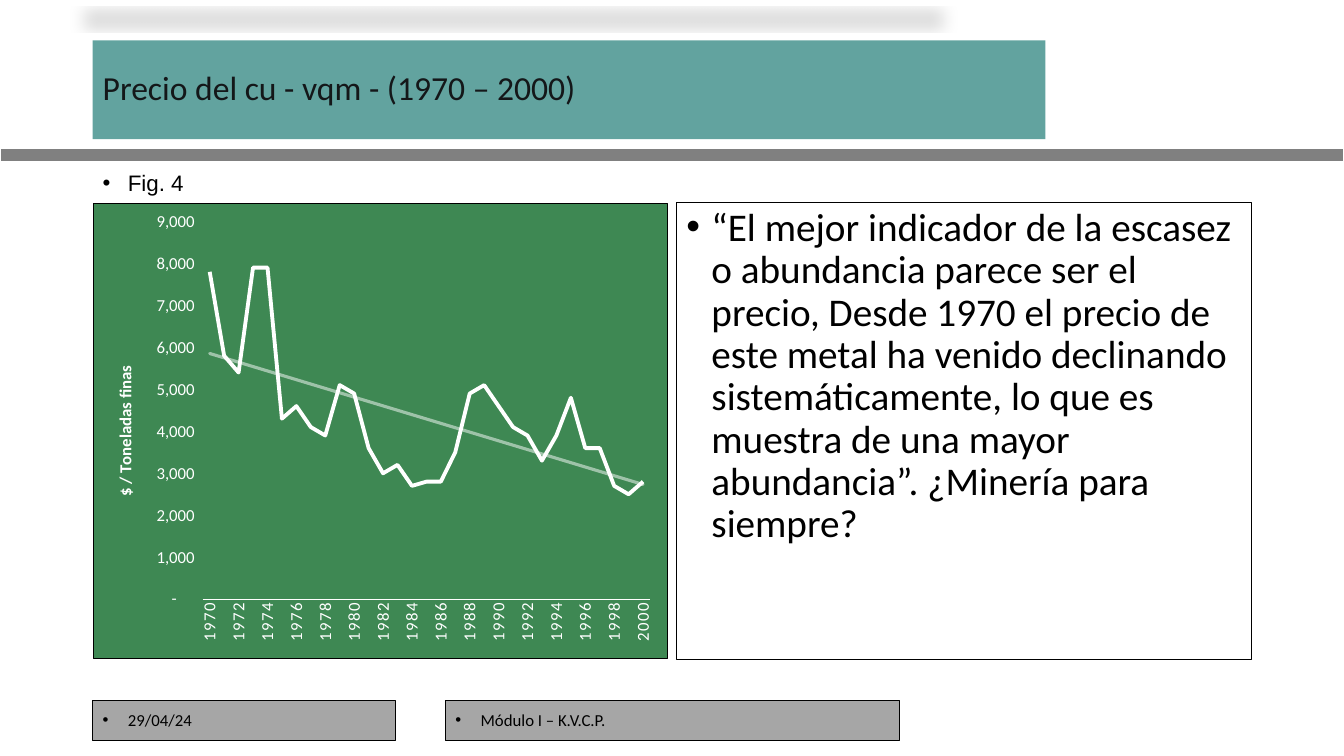
from pptx import Presentation
from pptx.chart.data import CategoryChartData
from pptx.dml.color import RGBColor
from pptx.enum.chart import XL_CHART_TYPE as ChartType, XL_TICK_MARK as TickMark
from pptx.enum.shapes import MSO_CONNECTOR as Connector, MSO_SHAPE as Shape
from pptx.enum.text import MSO_ANCHOR as Anchor, PP_ALIGN as Align
from pptx.oxml import parse_xml
from pptx.oxml.ns import nsdecls, qn
from pptx.util import Pt

COLORS = {
    "teal": "62A39F", "green": "3E8853", "rule": "808080", "footer": "A6A6A6",
    "title": "141719", "black": "000000", "white": "FFFFFF",
}
LEFT, PANEL_TOP, PANEL_W, PANEL_H = 66.24, 144.72, 411.12, 326.16
QUOTE = (
    "“El mejor indicador de la escasez o abundancia parece ser el precio, "
    "Desde 1970 el precio de este metal ha venido declinando sistemáticamente, "
    "lo que es muestra de una mayor abundancia”. ¿Minería para siempre?"
)
YEARS = [str(year) for year in range(1970, 2001)]
PRICES = [
    7800, 5800, 5400, 7900, 7900, 4300, 4600, 4100, 3900, 5100, 4900,
    3600, 3000, 3200, 2700, 2800, 2800, 3500, 4900, 5100, 4600,
    4100, 3900, 3300, 3900, 4800, 3600, 3600, 2700, 2500, 2800,
]
PRICE_FORMAT = '_-* #,##0_-;\\-* #,##0_-;_-* "-"??_-;_-@_'


def rgb(name):
    """Return the palette colour with this name."""
    return RGBColor.from_string(COLORS[name])


def xml(tag, body):
    """Build an element whose opening tag is completed with namespaces."""
    return parse_xml(f"<{tag} {nsdecls('a', 'c')}{body}")


def set_font(font, size, color, name="Calibri", bold=False):
    """Set the common properties of a font."""
    font.size, font.name, font.bold = Pt(size), name, bold
    font.color.rgb = rgb(color)


def add_text(sp, text, size=12, color="black", font="Calibri", anchor=Anchor.MIDDLE, bullet=True):
    """Write one paragraph into a shape."""
    tf = sp.text_frame
    tf.word_wrap = True
    tf.vertical_anchor = anchor
    p = tf.paragraphs[0]
    p.alignment, p.line_spacing = Align.LEFT, 0.9
    if bullet:
        p.space_before = Pt(10)
        pPr = p._p.get_or_add_pPr()
        pPr.set("marL", str(Pt(18)))
        pPr.set("indent", str(-Pt(18)))
        pPr.append(xml("a:buFont", ' typeface="Arial"/>'))
        pPr.append(xml("a:buChar", ' char="•"/>'))
    r = p.add_run()
    r.text = text
    set_font(r.font, size, color, font)


def add_box(s, x, y, w, h, fill=None, line=None):
    """Add a rectangle without shadow, with optional fill and outline width."""
    sp = s.shapes.add_shape(Shape.RECTANGLE, Pt(x), Pt(y), Pt(w), Pt(h))
    sp.shadow.inherit = False
    if fill:
        sp.fill.solid()
        sp.fill.fore_color.rgb = rgb(fill)
    else:
        sp.fill.background()
    if line:
        sp.line.color.rgb = rgb("black")
        sp.line.width = Pt(line)
    else:
        sp.line.fill.background()
    return sp


def add_flat_shadow(sp):
    """Cast a flattened soft shadow above a shape."""
    effects = sp._element.spPr.find(qn("a:effectLst"))
    effects.append(xml(
        "a:outerShdw",
        f' blurRad="{Pt(12)}" dist="{Pt(101)}" dir="14802000" sx="90000" sy="-19000" '
        f'rotWithShape="0"><a:srgbClr val="{COLORS["black"]}"><a:alpha val="15000"/>'
        "</a:srgbClr></a:outerShdw>"))


def add_rule(s, y, x1, x2, width):
    """Add the horizontal rule below the title."""
    rule = s.shapes.add_connector(Connector.STRAIGHT, Pt(x1), Pt(y), Pt(x2), Pt(y))
    rule.line.color.rgb = rgb("rule")
    rule.line.width = Pt(width)
    rule._element.spPr.append(xml("a:effectLst", "/>"))


def set_layout(parent, index, target="", **place):
    """Place a chart part by fractions of the chart size."""
    for old in parent.findall(qn("c:layout")):
        parent.remove(old)
    modes = '<c:xMode val="edge"/><c:yMode val="edge"/>'
    values = "".join(f'<c:{key} val="{value}"/>' for key, value in place.items())
    parent.insert(index, xml(
        "c:layout", f"><c:manualLayout>{target}{modes}{values}</c:manualLayout></c:layout>"))


def format_axes(chart):
    """Format both axes and the value axis title."""
    years, prices = chart.category_axis, chart.value_axis
    for axis in (years, prices):
        axis.major_tick_mark = axis.minor_tick_mark = TickMark.NONE
        axis.has_major_gridlines = False
        set_font(axis.tick_labels.font, 12, "white")
    years.format.line.color.rgb = rgb("white")
    years.format.line.width = Pt(1)
    prices.format.line.fill.background()
    prices.minimum_scale, prices.maximum_scale, prices.major_unit = 0, 9000, 1000
    prices.tick_labels.number_format = PRICE_FORMAT
    prices.tick_labels.number_format_is_linked = False
    p = prices.axis_title.text_frame.paragraphs[0]
    r = p.add_run()
    r.text = "$ / Toneladas finas"
    set_font(r.font, 12, "white", bold=True)

    root = chart.element
    for body in root.xpath(".//c:catAx/c:txPr/a:bodyPr | .//c:valAx/c:title//a:bodyPr"):
        body.set("rot", "-5400000")
        body.set("vert", "horz")
    root.xpath(".//c:catAx/c:txPr//a:defRPr")[0].set("spc", "100")
    root.xpath(".//c:catAx/c:noMultiLvlLbl")[0].addprevious(xml("c:tickLblSkip", ' val="2"/>'))
    set_layout(root.xpath(".//c:valAx/c:title")[0], 1, x=0.03, y=0.35)


def add_price_chart(s, x, y, w, h):
    """Add the copper price line chart with its linear trend."""
    data = CategoryChartData()
    data.categories = YEARS
    data.add_series("Series 1", PRICES)
    chart = s.shapes.add_chart(ChartType.LINE, Pt(x), Pt(y), Pt(w), Pt(h), data).chart
    chart.has_legend = chart.has_title = False
    set_font(chart.font, 10, "white")
    format_axes(chart)

    series = chart.plots[0].series[0]
    chart.plots[0].vary_by_categories = False
    series.smooth = False
    series.format.line.color.rgb = rgb("white")
    series.format.line.width = Pt(2.75)

    root = chart.element
    root.xpath(".//c:ser/c:cat")[0].addprevious(xml(
        "c:trendline",
        f'><c:spPr><a:ln w="{Pt(2.25)}" cap="rnd"><a:solidFill><a:srgbClr val="{COLORS["white"]}">'
        '<a:alpha val="50000"/></a:srgbClr></a:solidFill></a:ln></c:spPr>'
        '<c:trendlineType val="linear"/><c:dispRSqr val="0"/><c:dispEq val="0"/></c:trendline>'))
    root.find(qn("c:txPr")).addprevious(xml(
        "c:spPr",
        f'><a:solidFill><a:srgbClr val="{COLORS["green"]}"/></a:solidFill><a:ln w="{Pt(1)}">'
        f'<a:solidFill><a:srgbClr val="{COLORS["black"]}"/></a:solidFill></a:ln></c:spPr>'))
    root.insert(1, xml("c:roundedCorners", ' val="0"/>'))
    set_layout(root.xpath(".//c:plotArea")[0], 0, '<c:layoutTarget val="inner"/>',
               x=0.19, y=0.04, w=0.78, h=0.83)


def main():
    """Build the slide and save it."""
    prs = Presentation()
    prs.slide_width, prs.slide_height = Pt(960), Pt(540)
    s = prs.slides.add_slide(prs.slide_layouts[6])

    add_rule(s, 110.88, 0.72, 959.04, 8.25)
    title = add_box(s, LEFT, 28.8, 680.4, 70.56, fill="teal")
    add_flat_shadow(title)
    add_text(title, "Precio del cu - vqm - (1970 – 2000)", size=24, color="title", bullet=False)

    add_price_chart(s, LEFT, PANEL_TOP, PANEL_W, PANEL_H)
    for text, x, w in (("29/04/24", LEFT, 216), ("Módulo I – K.V.C.P.", 318.24, 324)):
        add_text(add_box(s, x, 500.4, w, 28.8, fill="footer", line=0.5), text)
    quote = add_box(s, 483.12, PANEL_TOP, PANEL_W, PANEL_H, line=0.75)
    add_text(quote, QUOTE, size=28, anchor=Anchor.TOP)
    caption = s.shapes.add_textbox(Pt(LEFT), Pt(121.68), Pt(113.04), Pt(20.16))
    add_text(caption, "Fig. 4", size=16, font="Arial")

    prs.save("out.pptx")


if __name__ == "__main__":
    main()
